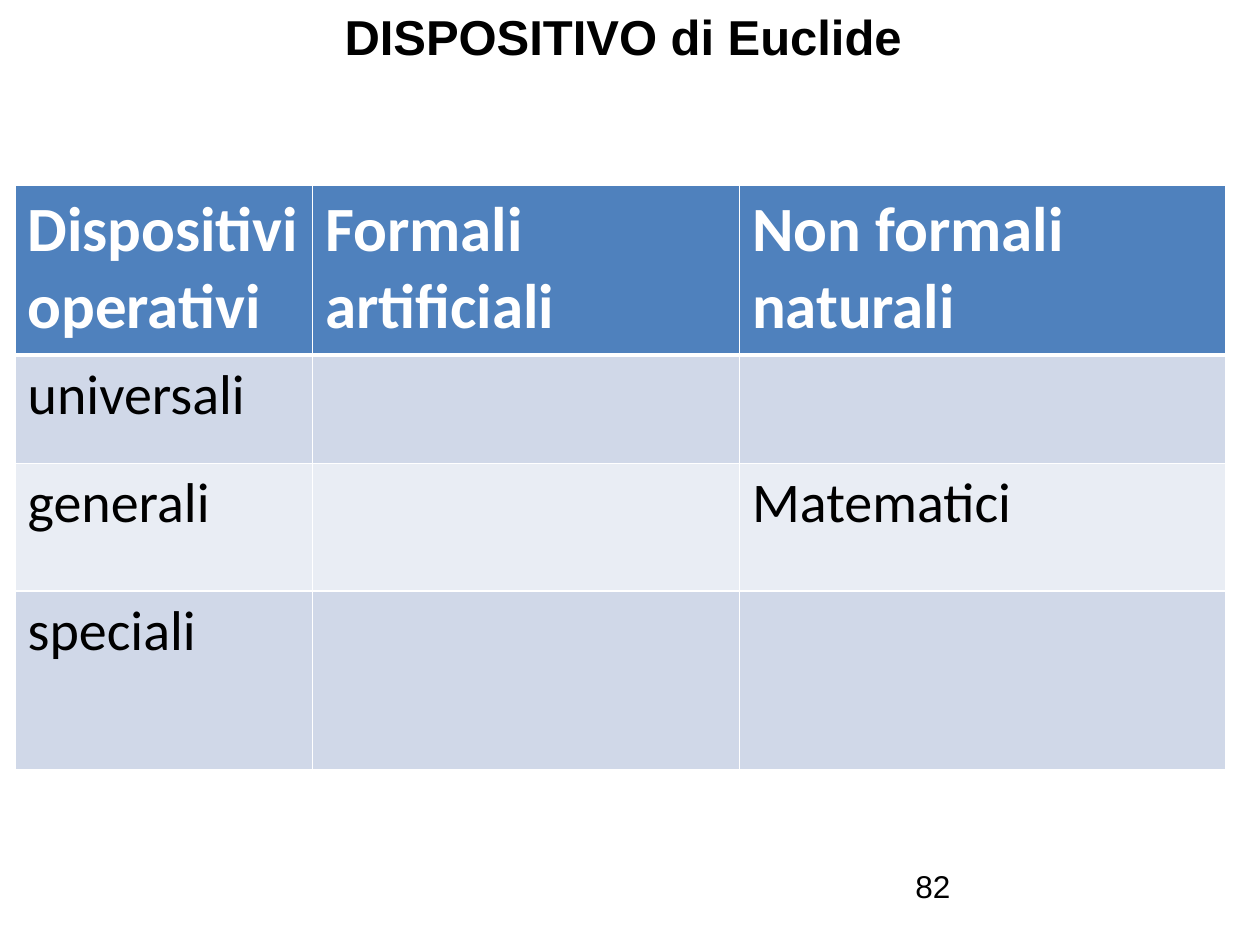
from dataclasses import dataclass

from lxml import etree
from pptx import Presentation
from pptx.dml.color import RGBColor
from pptx.enum.text import MSO_ANCHOR, MSO_AUTO_SIZE, PP_ALIGN
from pptx.oxml.ns import qn
from pptx.util import Pt

TOP = MSO_ANCHOR.TOP
CENTER = PP_ALIGN.CENTER
LEFT = PP_ALIGN.LEFT
NO_AUTOFIT = MSO_AUTO_SIZE.NONE
TITLE_ONLY = 5


@dataclass(frozen=True)
class Theme:
    ink: str = "000000"
    paper: str = "FFFFFF"
    header: str = "4F81BD"
    bands: tuple = ("D0D8E8", "E9EDF4")
    display_font: str = "Arial"
    table_font: str = "Calibri"
    title_size: int = 28
    header_size: int = 36
    body_size: int = 32
    number_size: int = 18
    rule: int = 1
    header_rule: int = 3


THEME = Theme()

COLUMN_WIDTHS = (170, 244, 278)
ROW_HEIGHTS = (97, 62, 73, 102)
DEVICES = (
    ("Dispositivi operativi", "Formali\nartificiali", "Non formali\nnaturali"),
    ("universali", "", ""),
    ("generali", "", "Matematici"),
    ("speciali", "", ""),
)


def place(shape, box):
    shape.left, shape.top, shape.width, shape.height = (Pt(v) for v in box)


def write(frame, text, font, size, color, bold=False, align=LEFT):
    frame.text = text
    for paragraph in frame.paragraphs:
        paragraph.alignment = align
        paragraph.font.name = font
        paragraph.font.size = Pt(size)
        paragraph.font.bold = bold
        paragraph.font.color.rgb = RGBColor.from_string(color)


def set_borders(cell, top, bottom):
    properties = cell._tc.get_or_add_tcPr()
    edges = (("L", THEME.rule), ("R", THEME.rule), ("T", top), ("B", bottom))
    for position, (side, width) in enumerate(edges):
        line = etree.Element(qn(f"a:ln{side}"), w=str(Pt(width)))
        fill = etree.SubElement(line, qn("a:solidFill"))
        etree.SubElement(fill, qn("a:srgbClr"), val=THEME.paper)
        properties.insert(position, line)


def add_title(slide, box):
    title = slide.shapes.title
    place(title, box)
    frame = title.text_frame
    frame.auto_size = NO_AUTOFIT
    frame.vertical_anchor = TOP
    write(frame, "DISPOSITIVO di Euclide ", THEME.display_font,
          THEME.title_size, THEME.ink, bold=True, align=CENTER)


def add_devices_table(slide, left, top):
    devices = slide.shapes.add_table(
        len(ROW_HEIGHTS), len(COLUMN_WIDTHS), Pt(left), Pt(top),
        Pt(sum(COLUMN_WIDTHS)), Pt(sum(ROW_HEIGHTS))).table
    for column, width in zip(devices.columns, COLUMN_WIDTHS):
        column.width = Pt(width)
    for r, (row, height, texts) in enumerate(zip(devices.rows, ROW_HEIGHTS, DEVICES)):
        row.height = Pt(height)
        is_header = r == 0
        size = THEME.header_size if is_header else THEME.body_size
        ink = THEME.paper if is_header else THEME.ink
        fill = THEME.header if is_header else THEME.bands[(r - 1) % 2]
        top_rule = THEME.header_rule if r == 1 else THEME.rule
        bottom_rule = THEME.header_rule if is_header else THEME.rule
        for cell, text in zip(row.cells, texts):
            write(cell.text_frame, text, THEME.table_font, size, ink, bold=is_header)
            cell.fill.solid()
            cell.fill.fore_color.rgb = RGBColor.from_string(fill)
            set_borders(cell, top_rule, bottom_rule)


def add_page_number(slide, box):
    number = slide.shapes.add_textbox(*(Pt(v) for v in box))
    number.text_frame.word_wrap = True
    write(number.text_frame, "82", THEME.display_font, THEME.number_size, THEME.ink)


def main():
    deck = Presentation()
    deck.slide_width, deck.slide_height = Pt(720), Pt(540)
    slide = deck.slides.add_slide(deck.slide_layouts[TITLE_ONLY])
    add_title(slide, (36, 0, 648, 60.5))
    add_devices_table(slide, 8.6, 105.8)
    add_page_number(slide, (516, 492, 168, 37.5))
    deck.save("out.pptx")


if __name__ == "__main__":
    main()
